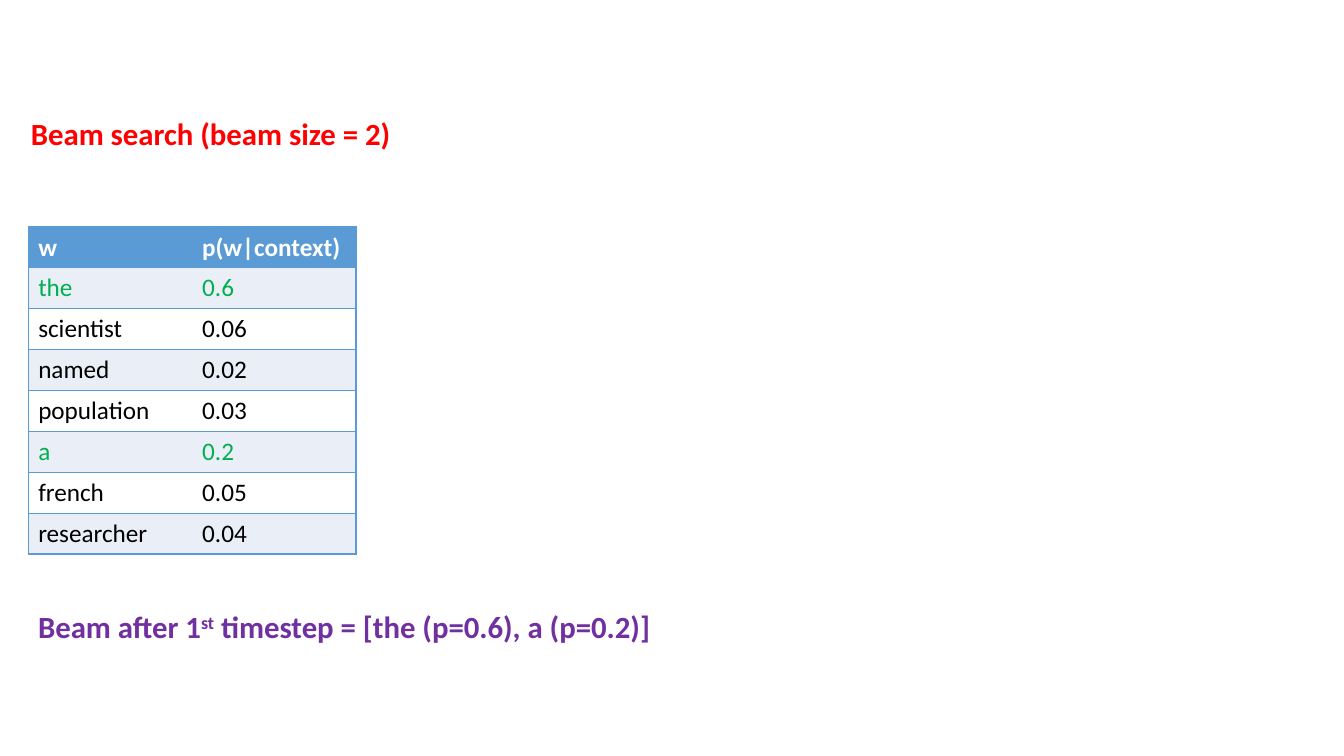
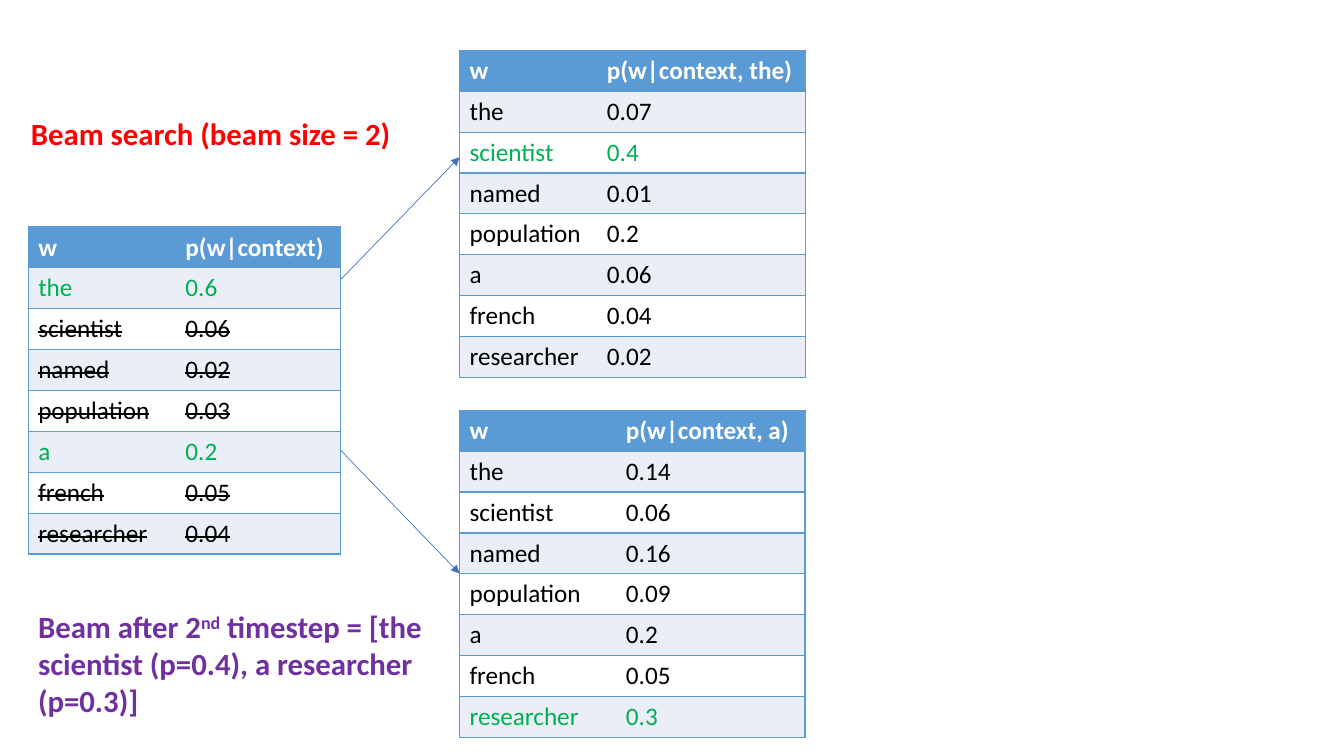
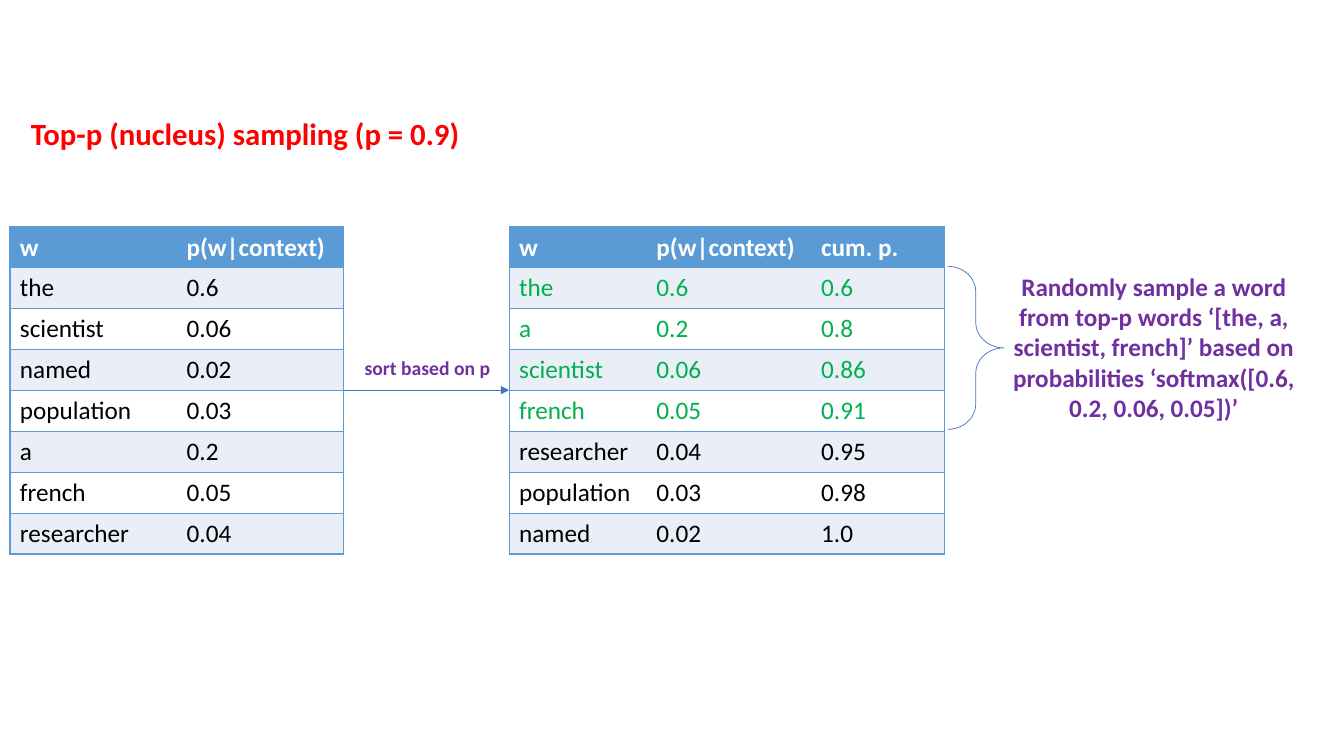
"""Build three slides on beam search and nucleus sampling."""
from dataclasses import dataclass

from lxml.etree import SubElement
from pptx import Presentation
from pptx.dml.color import RGBColor
from pptx.enum.shapes import MSO_CONNECTOR as Link, MSO_SHAPE as Kind
from pptx.enum.text import MSO_AUTO_SIZE as Fit, PP_ALIGN as Align
from pptx.oxml.ns import qn
from pptx.slide import Slide
from pptx.table import _Cell as Cell
from pptx.util import Cm, Pt

FONT = "Calibri"
BLUE, PALE, WHITE, BLACK = "5B9BD5", "EAEFF7", "FFFFFF", "000000"
GREEN, RED, PURPLE, LINE = "00B050", "FF0000", "7030A0", "4472C4"
PLAIN = "{2D5ABB26-0587-4C30-8999-92F81FD0307C}"
ROW = 1.03
TOP = 5.72
WORDS = "the scientist named population a french researcher".split()
PROBS = "0.6 0.06 0.02 0.03 0.2 0.05 0.04"


@dataclass
class Grid:
    """A word table; picks are green, and cut strikes out the rest."""
    left: float
    top: float
    widths: list[float]
    head: list[str]
    rows: list[tuple[str, ...]]
    picks: tuple[str, ...] = ()
    cut: bool = False


@dataclass
class Label:
    """A bold text box; text between carets is raised."""
    left: float
    top: float
    width: float
    height: float
    text: str
    size: int = 22
    color: str = PURPLE
    align: Align = Align.LEFT


@dataclass
class Arrow:
    """A straight arrow between two points."""
    start: tuple[float, float]
    end: tuple[float, float]


def rgb(code: str) -> RGBColor:
    """Turn a hex string into a colour."""
    return RGBColor.from_string(code)


def style(para, size: int, color: str, bold: bool) -> None:
    """Set the font of a paragraph."""
    font = para.font
    font.name, font.size, font.bold = FONT, Pt(size), bold
    font.color.rgb = rgb(color)


def edge(cell: Cell, side: str) -> None:
    """Draw one border of a cell."""
    line = SubElement(cell._tc.get_or_add_tcPr(), qn(f"a:ln{side}"), w=str(Pt(1)))
    SubElement(SubElement(line, qn("a:solidFill")), qn("a:srgbClr"), val=BLUE)


def draw_grid(slide: Slide, grid: Grid) -> None:
    """Draw a word table."""
    lines = [grid.head, *grid.rows]
    frame = slide.shapes.add_table(
        len(lines), len(grid.widths), Cm(grid.left), Cm(grid.top),
        Cm(sum(grid.widths)), Cm(ROW * len(lines)))
    table = frame.table
    for mark in frame._element.iter(qn("a:tableStyleId")):
        mark.text = PLAIN
    for col, width in zip(table.columns, grid.widths):
        col.width = Cm(width)
    last = len(grid.widths) - 1
    for i, line in enumerate(lines):
        table.rows[i].height = Cm(ROW)
        pick = line[0] in grid.picks
        fill = BLUE if i == 0 else PALE if i % 2 else WHITE
        color = WHITE if i == 0 else GREEN if pick else BLACK
        for j, text in enumerate(line):
            cell = table.cell(i, j)
            sides = ("L" if j == 0 else "") + ("R" if j == last else "") + "TB"
            for side in sides:
                edge(cell, side)
            cell.fill.solid()
            cell.fill.fore_color.rgb = rgb(fill)
            para = cell.text_frame.paragraphs[0]
            style(para, 18, color, i == 0)
            run = para.add_run()
            run.text = text
            if grid.cut and i and not pick:
                run._r.get_or_add_rPr().set("strike", "sngStrike")


def draw_label(slide: Slide, label: Label) -> None:
    """Draw a bold text box."""
    box = slide.shapes.add_textbox(
        Cm(label.left), Cm(label.top), Cm(label.width), Cm(label.height))
    frame = box.text_frame
    frame.word_wrap, frame.auto_size = True, Fit.SHAPE_TO_FIT_TEXT
    para = frame.paragraphs[0]
    para.alignment = label.align
    style(para, label.size, label.color, True)
    for i, part in enumerate(label.text.split("^")):
        run = para.add_run()
        run.text = part
        if i % 2:
            run._r.get_or_add_rPr().set("baseline", "30000")


def draw_arrow(slide: Slide, arrow: Arrow) -> None:
    """Draw a thin arrow."""
    ends = [Cm(n) for n in (*arrow.start, *arrow.end)]
    link = slide.shapes.add_connector(Link.STRAIGHT, *ends)
    link.line.color.rgb, link.line.width = rgb(LINE), Pt(0.5)
    props = link._element.spPr
    SubElement(props.find(qn("a:ln")), qn("a:tailEnd"), type="triangle")
    SubElement(props, qn("a:effectLst"))


def draw_brace(slide: Slide, left: float, top: float, width: float, height: float) -> None:
    """Draw a brace that points right."""
    brace = slide.shapes.add_shape(
        Kind.LEFT_BRACE, Cm(left), Cm(top), Cm(width), Cm(height))
    brace.rotation = 180
    brace.adjustments[0] = 0.45
    brace.shadow.inherit = False
    brace.fill.background()
    brace.line.color.rgb, brace.line.width = rgb(LINE), Pt(0.5)


def title(text: str, width: float = 10.24) -> Label:
    """Make the red heading of a slide."""
    return Label(0.53, 2.77, width, 1.19, text, color=RED)


def pairs(probs: str) -> list[tuple[str, ...]]:
    """Match the words with their probabilities."""
    return list(zip(WORDS, probs.split()))


def main() -> None:
    """Build and save the slides."""
    deck = Presentation()
    deck.slide_width, deck.slide_height = Cm(33.87), Cm(19.05)
    tools = {Grid: draw_grid, Label: draw_label, Arrow: draw_arrow}
    base = pairs(PROBS)
    head = ["w", "p(w|context)"]
    beam = title("Beam search (beam size = 2)")
    order = sorted(base, key=lambda pair: -float(pair[1]))
    sums = "0.6 0.8 0.86 0.91 0.95 0.98 1.0".split()
    ranks = [(*pair, total) for pair, total in zip(order, sums)]

    first = [
        Grid(0.71, TOP, [4.13, 4.13], head, base, ("the", "a")),
        beam,
        Label(0.71, 15.19, 18.97, 1.19,
              "Beam after 1^st^ timestep = [the (p=0.6), a (p=0.2)]"),
    ]
    second = [
        Grid(0.71, TOP, [3.71, 4.17], head, base, ("the", "a"), True),
        beam,
        Grid(11.58, 1.27, [3.46, 5.25], ["w", "p(w|context, the)"],
             pairs("0.07 0.4 0.01 0.2 0.06 0.04 0.02"), ("scientist",)),
        Grid(11.58, 10.34, [3.94, 4.77], ["w", "p(w|context, a)"],
             pairs("0.14 0.06 0.16 0.09 0.2 0.05 0.3"), ("researcher",)),
        Arrow((8.59, 7.04), (11.58, 3.96)),
        Arrow((8.59, 11.35), (11.58, 14.45)),
        Label(0.71, 15.19, 10.87, 3.07, "Beam after 2^nd^ timestep = "
              "[the scientist (p=0.4), a researcher (p=0.3)]"),
    ]
    third = [
        Grid(0.25, TOP, [4.2, 4.2], head, base),
        title("Top-p (nucleus) sampling (p = 0.9)", 12.12),
        Grid(12.83, TOP, [3.46, 4.15, 3.37], [*head, "cum. p."], ranks,
             ("the", "a", "scientist", "french")),
        Arrow((8.66, 9.83), (12.83, 9.83)),
        Label(8.94, 8.84, 4.55, 0.86, "sort based on p", 14),
        Label(24.89, 6.71, 8.38, 4.11, "Randomly sample a word from top-p words "
              "‘[the, a, scientist, french]’ based on probabilities "
              "‘softmax([0.6, 0.2, 0.06, 0.05])’", 18, align=Align.CENTER),
    ]
    for items in (first, second, third):
        slide = deck.slides.add_slide(deck.slide_layouts[6])
        for item in items:
            tools[type(item)](slide, item)
    draw_brace(slide, 23.88, 6.71, 1.42, 4.11)
    deck.save("out.pptx")


main()
